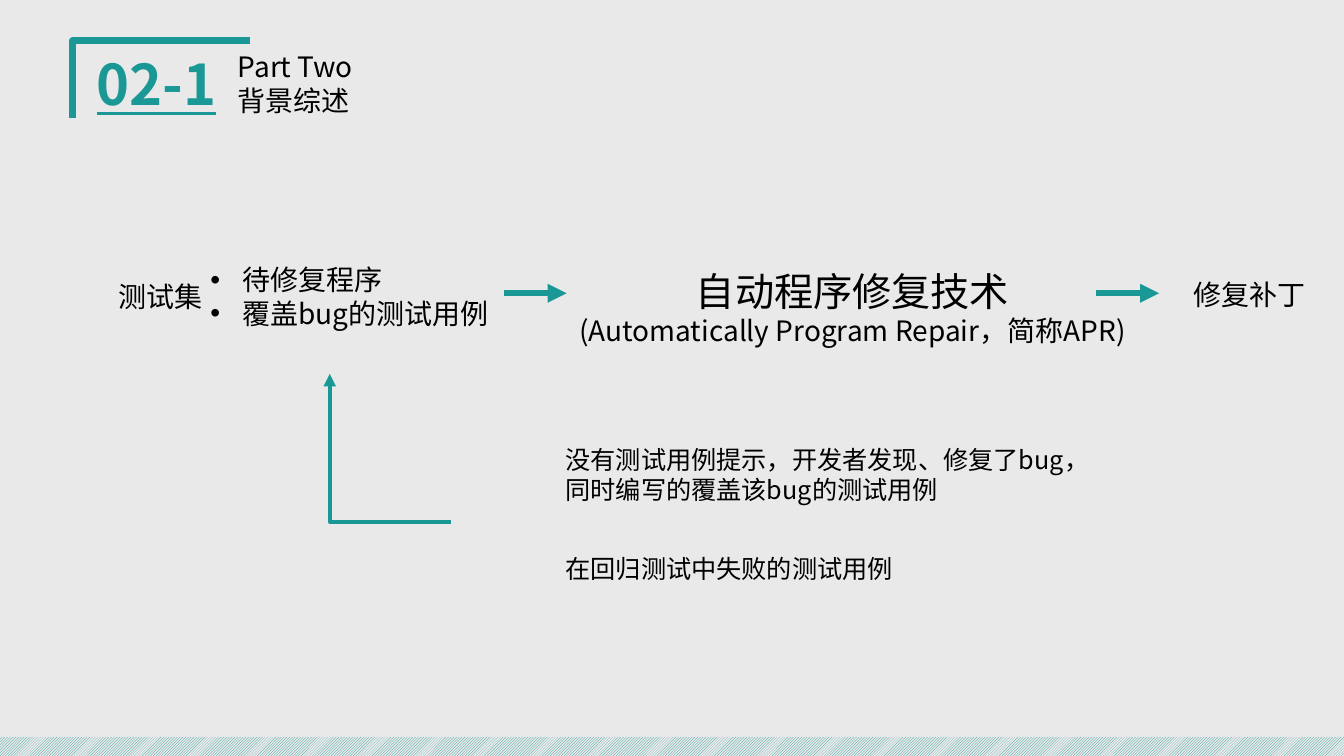
from lxml import etree
from pptx import Presentation
from pptx.dml.color import RGBColor
from pptx.enum.dml import MSO_PATTERN
from pptx.enum.shapes import MSO_CONNECTOR, MSO_SHAPE
from pptx.enum.text import MSO_ANCHOR, MSO_AUTO_SIZE, PP_ALIGN
from pptx.oxml.ns import qn
from pptx.util import Cm, Pt

STRAIGHT, ELBOW = MSO_CONNECTOR.STRAIGHT, MSO_CONNECTOR.ELBOW
RECTANGLE = MSO_SHAPE.RECTANGLE
UPWARD_STRIPES = MSO_PATTERN.LIGHT_UPWARD_DIAGONAL
TOP = MSO_ANCHOR.TOP
FIXED = MSO_AUTO_SIZE.NONE
LEFT, CENTER = PP_ALIGN.LEFT, PP_ALIGN.CENTER
FONT = "Noto Sans CJK SC"
TEAL, GREY, BLACK = "1A9895", "E9E9E9", "000000"
PAGE_WIDTH, PAGE_HEIGHT = 33.87, 19.05


def color(value):
    return RGBColor.from_string(value)


def write(box, lines, sizes, align=LEFT, ink=BLACK, bullet=False):
    """Fill a shape with one paragraph per line, each with its own size."""
    frame = box.text_frame
    frame.text = "\n".join(lines)
    frame.word_wrap = True
    frame.auto_size = FIXED
    frame.vertical_anchor = TOP
    for para, size in zip(frame.paragraphs, sizes):
        para.alignment = align
        if bullet:
            props = para._p.get_or_add_pPr()
            props.set("marL", str(Cm(0.8)))
            props.set("indent", str(-Cm(0.8)))
            etree.SubElement(props, qn("a:buFont")).set("typeface", "Arial")
            etree.SubElement(props, qn("a:buChar")).set("char", "•")
        for span in para.runs:
            span.font.size = Pt(size)
            span.font.name = FONT
            span.font.color.rgb = color(ink)
            east_asian = etree.SubElement(span._r.get_or_add_rPr(), qn("a:ea"))
            east_asian.set("typeface", FONT)


def add_text(page, left, top, width, height, lines, sizes, **style):
    box = page.shapes.add_textbox(Cm(left), Cm(top), Cm(width), Cm(height))
    write(box, lines, sizes, **style)
    return box


def add_arrow(page, kind, start, end, weight, head="tailEnd"):
    arrow = page.shapes.add_connector(kind, *map(Cm, start + end))
    arrow.line.color.rgb = color(TEAL)
    arrow.line.width = Pt(weight)
    etree.SubElement(arrow.line._get_or_add_ln(), qn(f"a:{head}")).set("type", "triangle")
    etree.SubElement(arrow._element.spPr, qn("a:effectLst"))
    return arrow


def add_header(page, left, top, width, height):
    outline = page.shapes.build_freeform(Cm(left), Cm(top + height))
    outline.add_line_segments(
        [(Cm(left), Cm(top)), (Cm(left + width), Cm(top))], close=False)
    corner = outline.convert_to_shape()
    corner.shadow.inherit = False
    corner.fill.background()
    corner.line.color.rgb = color(TEAL)
    corner.line.width = Pt(4.5)

    number = add_text(page, left + 0.36, top + 0.1, 5.26, height,
                      ["02-1"], [40], ink=TEAL)
    font = number.text_frame.paragraphs[0].runs[0].font
    font.bold = font.underline = True

    title = page.shapes.title
    title.left, title.top = Cm(left + 3.91), Cm(top + 0.1)
    title.width, title.height = Cm(6.1), Cm(height)
    write(title, ["Part Two", "背景综述"], [20, 20])


def add_footer(page, left, top, width, height):
    band = page.shapes.add_shape(RECTANGLE, Cm(left), Cm(top), Cm(width), Cm(height))
    band.shadow.inherit = False
    band.fill.patterned()
    band.fill.pattern = UPWARD_STRIPES
    band.fill.fore_color.rgb = color(TEAL)
    band.fill.back_color.rgb = color(GREY)
    band.line.fill.background()


def add_repair_flow(page, left, top):
    """Test set, repair technique and patch, joined by arrows."""
    test_set = page.shapes.add_shape(
        RECTANGLE, Cm(left), Cm(top + 0.41), Cm(2.95), Cm(1.11))
    test_set.shadow.inherit = False
    test_set.fill.background()
    test_set.line.color.rgb = color(GREY)
    test_set.line.width = Pt(0.75)
    write(test_set, ["测试集"], [20])
    add_text(page, left + 2.31, top, 7.75, 1.96,
             ["待修复程序", "覆盖bug的测试用例"], [20, 20], bullet=True)
    add_text(page, left + 11, top + 0.1, 15.49, 2.31,
             ["自动程序修复技术", "(Automatically Program Repair，简称APR)"],
             [28, 20], align=CENTER)
    add_text(page, left + 27.08, top + 0.38, 4.04, 1.11, ["修复补丁"], [20])
    for offset in (9.96, 24.89):
        start, level = left + offset, top + 0.89
        add_arrow(page, STRAIGHT, (start, level), (start + 1.58, level), 4.5)


def add_test_sources(page, left, top):
    """Where the covering tests come from, with an arrow back to the flow."""
    add_text(page, left, top, 13.92, 2.57,
             ["没有测试用例提示，开发者发现、修复了bug，",
              "同时编写的覆盖该bug的测试用例"], [18, 18])
    add_text(page, left, top + 2.74, 8.84, 1.8,
             ["在回归测试中失败的测试用例"], [18])
    tip = (left - 5.69, top - 1.65)
    tail = (left - 2.64, top + 2.08)
    elbow = add_arrow(page, ELBOW, tip, tail, 3)
    # One bend, turned half round: it leaves the tail sideways and rises to the tip
    elbow._element.spPr.find(qn("a:prstGeom")).set("prst", "bentConnector2")
    elbow._element.spPr.find(qn("a:xfrm")).set("rot", "10800000")


def main():
    deck = Presentation()
    deck.slide_width, deck.slide_height = Cm(PAGE_WIDTH), Cm(PAGE_HEIGHT)
    page = deck.slides.add_slide(deck.slide_layouts[5])
    page.background.fill.solid()
    page.background.fill.fore_color.rgb = color(GREY)
    add_header(page, 1.83, 1.02, 4.47, 1.96)
    add_footer(page, 0, 18.57, PAGE_WIDTH, 0.48)
    add_repair_flow(page, 2.74, 6.5)
    add_test_sources(page, 14, 11.07)
    deck.save("out.pptx")


if __name__ == "__main__":
    main()
